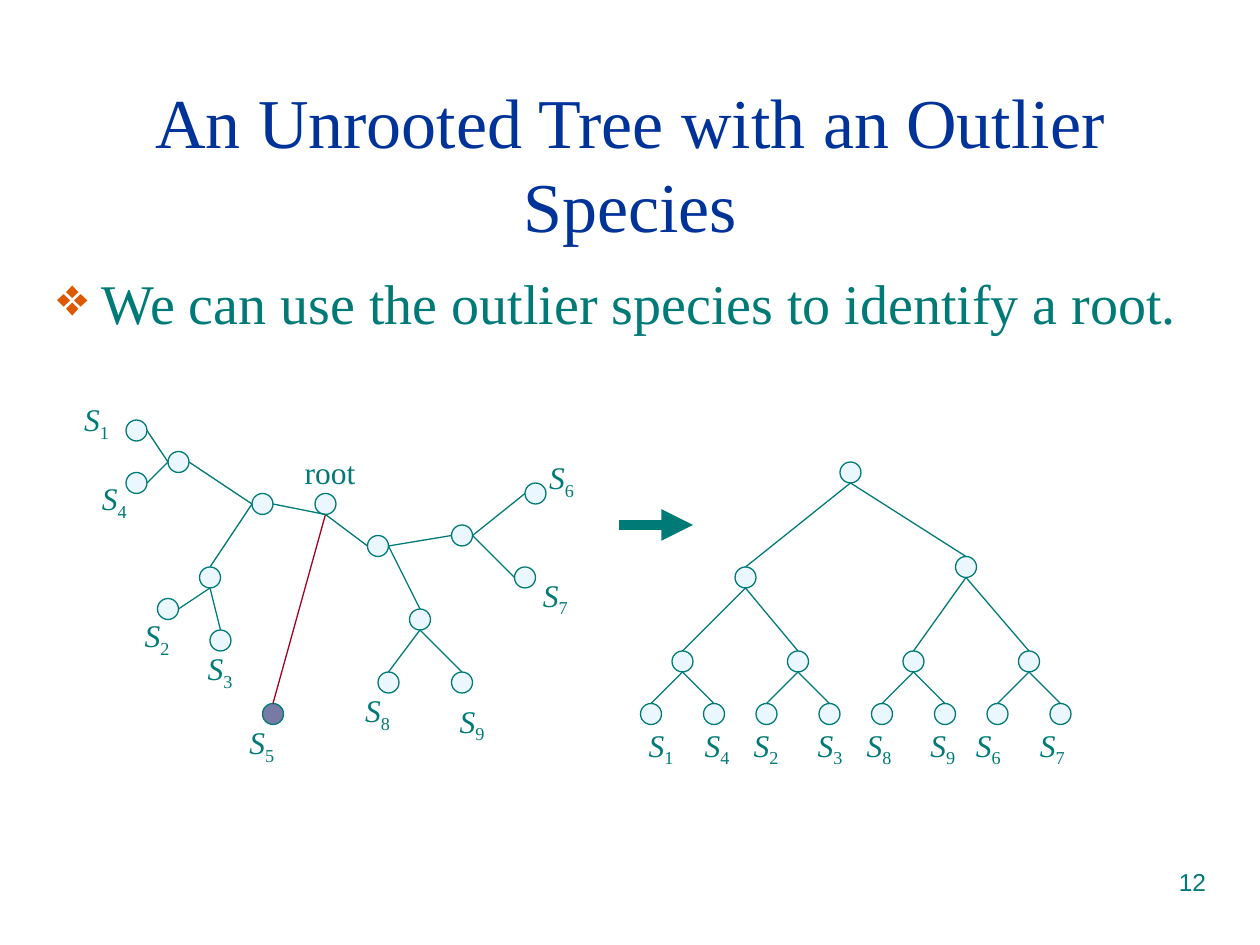
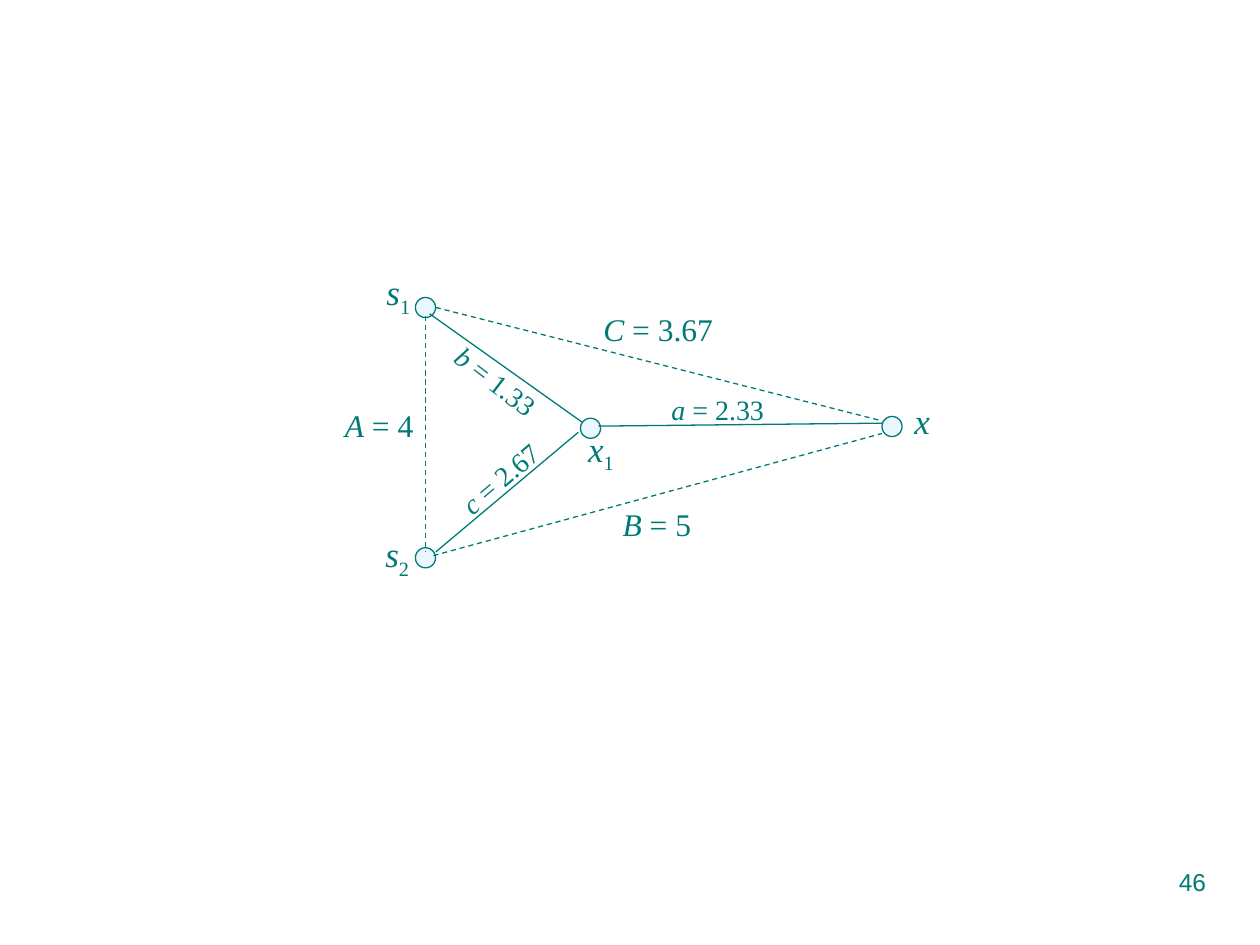
from pptx import Presentation
from pptx.util import Pt
from pptx.dml.color import RGBColor
from pptx.enum.dml import MSO_LINE_DASH_STYLE as Dash
from pptx.enum.shapes import MSO_CONNECTOR as Conn, MSO_SHAPE as Shape
from pptx.enum.text import MSO_ANCHOR as Anchor, PP_ALIGN as Align
from pptx.oxml.ns import qn
from lxml.etree import SubElement as Sub

# Shared style
TEAL, NAVY, PALE, GREY, RED, ORANGE = (
    "007A77", "003399", "EBF7FF", "7979A5", "A50021", "DC5900")
SERIF, SANS = "Times New Roman", "Arial"
UNIT = 6   # grid step of the trees
DOT = 12   # node size in the trees

# Slide 1: the unrooted tree, nodes as left and top in grid steps
TITLE = "An Unrooted Tree with an Outlier Species"
POINT = "We can use the outlier species to identify a root."
NODES = {
    "S1": (12, 40), "S4": (12, 45), "S14": (16, 43), "S23": (19, 54),
    "S2": (15, 57), "S3": (20, 60), "west": (24, 47), "root": (30, 47),
    "S5": (25, 67), "east": (35, 51), "S89": (39, 58), "S8": (36, 64),
    "S9": (43, 64), "S67": (43, 50), "S6": (50, 46), "S7": (49, 54),
}
# Each edge: node, side, node, side (t, l, b, r)
EDGES = [
    ("S1", "r", "S14", "l"), ("S4", "r", "S14", "l"),
    ("west", "l", "S23", "t"), ("S14", "r", "west", "l"),
    ("S23", "b", "S3", "t"), ("S23", "b", "S2", "r"),
    ("west", "r", "root", "b"), ("root", "b", "S5", "t"),
    ("root", "b", "east", "l"), ("east", "r", "S89", "t"),
    ("east", "r", "S67", "l"), ("S89", "b", "S8", "t"),
    ("S89", "b", "S9", "t"), ("S67", "r", "S7", "l"),
    ("S67", "r", "S6", "l"),
]
LABELS = {
    "S1": (41, 225), "S8": (201.6, 391.4), "S6": (306.7, 258.2),
    "S9": (255.6, 397.4), "S7": (303.1, 325.4), "S5": (135.4, 409.4),
    "S3": (111.6, 367.2), "S2": (75.6, 348.5), "S4": (51.1, 270),
}

# Slide 1: the rooted tree
TOP, MIDS, TWIGS, TWIG_Y, LEAF_Y = (
    (80, 44), [(70, 54), (91, 53)], [64, 75, 86, 97], 62, 67)
LEAVES = ["S1", "S4", "S2", "S3", "S8", "S9", "S6", "S7"]
STOPS = [32, 60, 96.5, 124.5, 161, 187, 223.5]

# Slide 2: the triangle
RINGS = [(237.4, 170), (237.4, 313), (504, 238), (331.7, 239)]
RING = 11.5
DASHED = [(249, 175.7, 504, 240.5), (247.7, 317.5, 504, 247.7),
          (243.2, 180.7, 243.2, 315.4)]
SOLID = [(245.5, 179.3, 332.6, 241.2), (249, 315.4, 330.5, 247),
         (342, 243.5, 504, 241.8)]
NAMES = [("x", "", 515.5, 224.6, 45), ("s", "1", 213.8, 151.2, 28),
         ("s", "2", 213.1, 301, 28), ("x", "1", 329, 240.5, 28.8)]
# Symbol, value, left, top, width, height, size, rotation
SIDES = [
    ("C", "3.67", 337.7, 173.5, 77, 28.8, 18, 0),
    ("A", "4", 190, 228.5, 53.3, 28.8, 18, 0),
    ("B", "5", 348.7, 285.3, 53.3, 28.8, 18, 0),
    ("b", "1.33", 249.8, 204.5, 67, 26.6, 16, 37.5),
    ("a", "2.33", 376.6, 221, 67, 26.6, 16, 0),
    ("c", "2.67", 252.7, 260, 66.2, 26.6, 16, -40.6),
]


def rgb(code):
    return RGBColor.from_string(code)


def sym(name):
    """Italic letter with a subscript."""
    return [(name[0], "i"), (name[1:], "sub")]


def text(slide, runs, x, y, w, h, size=18, color=TEAL, font=SERIF, wrap=False,
         align=Align.LEFT, anchor=Anchor.TOP, turn=0, bullet=None, stops=()):
    box = slide.shapes.add_textbox(Pt(x), Pt(y), Pt(w), Pt(h))
    box.rotation = turn
    frame = box.text_frame
    frame.word_wrap, frame.vertical_anchor = wrap, anchor
    if not wrap:
        frame.margin_right = 0  # room to keep a label on one line
    par = frame.paragraphs[0]
    par.alignment = align
    props = par._p.get_or_add_pPr()
    if bullet:
        props.set("marL", str(Pt(27)))
        props.set("indent", str(-Pt(25.5)))
        Sub(Sub(props, qn("a:buClr")), qn("a:srgbClr"), val=ORANGE)
        Sub(props, qn("a:buSzPct"), val="96000")
        Sub(props, qn("a:buChar"), char=bullet)
    if stops:
        tabs = Sub(props, qn("a:tabLst"))
        for stop in stops:
            Sub(tabs, qn("a:tab"), pos=str(Pt(stop)), algn="l")
    for words, mode in [(runs, "")] if isinstance(runs, str) else runs:
        run = par.add_run()
        run.text = words
        run.font.name, run.font.size = font, Pt(size)
        run.font.color.rgb = rgb(color)
        run.font.italic = mode == "i"
        if mode == "sub":
            run._r.get_or_add_rPr().set("baseline", "-25000")


def node(slide, x, y, size=DOT, fill=PALE):
    dot = slide.shapes.add_shape(Shape.OVAL, Pt(x), Pt(y), Pt(size), Pt(size))
    dot.shadow.inherit = False
    dot.fill.solid()
    dot.fill.fore_color.rgb = rgb(fill)
    dot.line.color.rgb = rgb(TEAL)
    dot.line.width = Pt(0.75)


def link(slide, x1, y1, x2, y2, color=TEAL, width=0.75, dash=False, head=False):
    line = slide.shapes.add_connector(Conn.STRAIGHT, Pt(x1), Pt(y1), Pt(x2), Pt(y2))
    line.line.color.rgb = rgb(color)
    line.line.width = Pt(width)
    if dash:
        line.line.dash_style = Dash.DASH
    if head:
        Sub(line.line._get_or_add_ln(), qn("a:tailEnd"), type="triangle")
    Sub(line._element.spPr, qn("a:effectLst"))


def port(spot, side):
    """Point on the rim of a tree node."""
    dx, dy = {"t": (1, 0), "l": (0, 1), "b": (1, 2), "r": (2, 1)}[side]
    return (spot[0] + dx) * UNIT, (spot[1] + dy) * UNIT


def page(deck, number):
    slide = deck.slides.add_slide(deck.slide_layouts[6])
    text(slide, number, 516.3, 492, 180, 37.5, size=14, font=SANS, wrap=True,
         align=Align.RIGHT)
    return slide


def trees(deck):
    slide = page(deck, "12")
    text(slide, TITLE, 24, 48, 672, 90, size=40, color=NAVY, wrap=True,
         align=Align.CENTER, anchor=Anchor.MIDDLE)
    text(slide, POINT, 24, 150, 672, 330, size=32, wrap=True, bullet="❖")

    # Unrooted tree
    for name, (x, y) in NODES.items():
        node(slide, x * UNIT, y * UNIT, fill=GREY if name == "S5" else PALE)
    for a, out, b, into in EDGES:
        link(slide, *port(NODES[a], out), *port(NODES[b], into),
             color=RED if b == "S5" else TEAL)
    for name, (x, y) in LABELS.items():
        text(slide, sym(name), x, y, 28.8, 31.7)
    text(slide, "root", 167, 255.2, 43.2, 28.8)

    # Arrow between the trees
    link(slide, 354, 300, 396, 300, width=6, head=True)

    # Rooted tree
    pairs = [(TOP, mid) for mid in MIDS]
    for i, x in enumerate(TWIGS):
        twig = (x, TWIG_Y)
        pairs.append((MIDS[i // 2], twig))
        pairs += [(twig, (x + step, LEAF_Y)) for step in (-3, 3)]
    for x, y in [TOP] + [kid for _, kid in pairs]:
        node(slide, x * UNIT, y * UNIT)
    for up, kid in pairs:
        link(slide, *port(up, "b"), *port(kid, "t"))
    row = sym(LEAVES[0])
    for name in LEAVES[1:]:
        row += [("\t", "")] + sym(name)
    text(slide, row, 363.6, 411.1, 260, 31.7, wrap=True, stops=STOPS)


def triangle(deck):
    slide = page(deck, "46")
    for x, y in RINGS:
        node(slide, x, y, size=RING)
    for ends in DASHED:
        link(slide, *ends, dash=True)
    for ends in SOLID:
        link(slide, *ends)
    for name, sub, x, y, w in NAMES:
        text(slide, sym(name + sub) if sub else [(name, "i")], x, y, w, 34.5, size=20)
    for name, value, x, y, w, h, size, turn in SIDES:
        text(slide, [(name, "i"), (" = " + value, "")], x, y, w, h,
             size=size, turn=turn)


def main():
    deck = Presentation()
    deck.slide_width, deck.slide_height = Pt(720), Pt(540)
    trees(deck)
    triangle(deck)
    deck.save("out.pptx")


if __name__ == "__main__":
    main()
